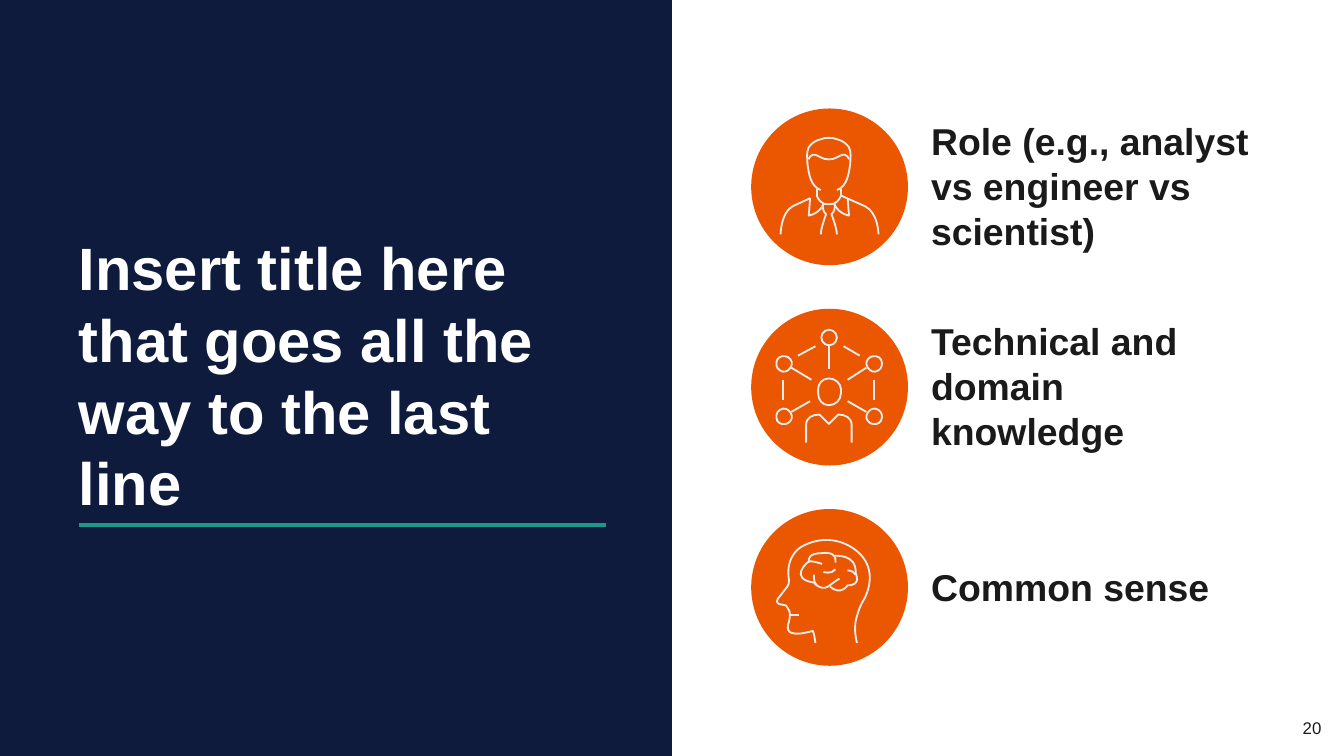
from lxml import etree
from pptx import Presentation
from pptx.dml.color import RGBColor
from pptx.enum.shapes import MSO_CONNECTOR, MSO_SHAPE
from pptx.enum.text import MSO_ANCHOR, PP_ALIGN
from pptx.oxml.ns import qn
from pptx.util import Pt

RECT, OVAL = MSO_SHAPE.RECTANGLE, MSO_SHAPE.OVAL
STRAIGHT = MSO_CONNECTOR.STRAIGHT
TOP, BOTTOM = MSO_ANCHOR.TOP, MSO_ANCHOR.BOTTOM
LEFT, RIGHT = PP_ALIGN.LEFT, PP_ALIGN.RIGHT

NAVY = RGBColor(0x0E, 0x1B, 0x3C)
TEAL = RGBColor(0x1A, 0x99, 0x88)
ORANGE = RGBColor(0xEB, 0x56, 0x00)
PALE = RGBColor(0xE9, 0xED, 0xEE)
INK = RGBColor(0x1A, 0x1A, 0x1A)
WHITE = RGBColor(0xFF, 0xFF, 0xFF)

FONT = "Arial"
ITEM_LINE = 24.2

# Icons are drawn on a square grid that is scaled to the circle.
# A path is a start point, then (x, y) lines and (x1, y1, x2, y2, x, y) curves.
GRID = 117

PERSON = {
    "paths": [
        [(95, 94), (95, 94, 95, 78, 85, 73), (67, 65)],
        [(22, 94), (22, 94, 22, 78, 31, 73), (44, 67)],
        [(44, 67), (43, 80), (52, 78, 54, 71, 54, 71), (50, 69, 49, 65, 49, 65)],
        [(72, 67), (73, 80), (64, 78, 62, 71, 62, 71), (66, 69, 67, 65, 67, 65)],
        [(52, 94), (52, 89, 56, 79, 56, 79), (52, 75, 54, 71, 54, 71),
         (54, 71, 58, 72, 62, 71), (62, 71, 64, 75, 60, 79),
         (60, 79, 64, 89, 64, 94)],
        [(64, 61), (72, 58, 73, 48, 74, 41), (74, 37, 75, 33, 73, 29),
         (71, 26, 68, 24, 64, 23), (62, 22, 60, 22, 58, 22),
         (56, 22, 54, 22, 52, 23), (48, 24, 45, 26, 43, 29),
         (41, 33, 42, 37, 42, 41), (43, 48, 44, 58, 52, 61)],
        [(73, 38), (73, 38, 72, 33, 67, 35), (64, 36, 63, 38, 58, 38),
         (53, 38, 52, 36, 49, 35), (44, 33, 43, 38, 43, 38)],
    ],
    "lines": [(49, 60, 49, 65), (67, 60, 67, 65)],
}


def mirror(path, x_sum=None, y_sum=None):
    """Reflect a path; each sum is twice the position of the mirror axis."""
    sums = (x_sum, y_sum)
    return [tuple(v if sums[i % 2] is None else sums[i % 2] - v
                  for i, v in enumerate(seg)) for seg in path]


NODE = [(95, 46), (92, 48, 89, 47, 87, 44), (85, 41, 86, 38, 89, 36),
        (92, 35, 95, 35, 97, 38), (98, 41, 98, 44, 95, 46)]
NETWORK = {
    "ovals": [(52.4, 15.7, 11.6)],
    "lines": [(69, 28, 81, 35), (48, 28, 35, 35), (58.2, 28, 58.2, 45),
              (24, 53, 24, 68), (92, 53, 92, 68), (86, 44, 72, 53),
              (30, 44, 45, 53), (86, 77, 72, 69), (30, 77, 44, 69)],
    "paths": [
        [(41, 100), (41, 87), (41, 81, 46, 79, 51, 79), (58, 86), (65, 79),
         (70, 79, 75, 81, 75, 87), (75, 100)],
        [(67, 63), (67, 68, 63, 72, 58, 72), (53, 72, 50, 68, 50, 63), (50, 60),
         (50, 56, 53, 52, 58, 52), (63, 52, 67, 56, 67, 60), (67, 63)],
    ] + [mirror(NODE, x_sum, y_sum) for x_sum in (None, 116.4) for y_sum in (None, 121.5)],
}
BRAIN = {
    "paths": [
        [(62, 35), (62, 35, 79, 33, 78, 48), (78, 48, 83, 57, 72, 57),
         (72, 57, 67, 65, 59, 58)],
        [(43, 39), (43, 37, 43, 33, 53, 33), (54, 33, 64, 31, 63, 40)],
        [(47, 49), (47, 49, 46, 54, 49, 57)],
        [(54, 47), (54, 47, 60, 49, 63, 45)],
        [(72, 46), (72, 46, 75, 45, 78, 49)],
        [(53, 41), (53, 41, 47, 39, 44, 39), (42, 40), (42, 40, 28, 52, 47, 55),
         (47, 55, 53, 63, 60, 56), (60, 56, 64, 53, 66, 52)],
        [(79, 100), (78, 96, 77, 90, 78, 84), (78, 84, 80, 74, 84, 68),
         (84, 68, 98, 45, 77, 30), (77, 30, 60, 16, 38, 28),
         (38, 28, 26, 34, 28, 51), (28, 51, 29, 56, 27, 58), (20, 67),
         (20, 67, 18, 70, 21, 71), (26, 72), (26, 72, 29, 76, 29, 78),
         (29, 82, 28, 85, 28, 85), (28, 85, 26, 90, 29, 92),
         (30, 92, 32, 95, 46, 91), (46, 91, 47, 92, 48, 100)],
    ],
    "lines": [(29, 79, 36, 79)],
}
ITEMS = [
    ("Role (e.g., analyst vs engineer vs scientist)", 3, PERSON),
    ("Technical and domain knowledge", 3, NETWORK),
    ("Common sense", 1, BRAIN),
]


def add_text(s, x, y, w, h, text, size, color, bold=True, align=LEFT, anchor=TOP):
    tf = s.shapes.add_textbox(Pt(x), Pt(y), Pt(w), Pt(h)).text_frame
    tf.word_wrap = True
    tf.vertical_anchor = anchor
    tf.margin_left = tf.margin_right = tf.margin_top = tf.margin_bottom = 0
    p = tf.paragraphs[0]
    p.alignment = align
    r = p.add_run()
    r.text = text
    r.font.name, r.font.size, r.font.bold = FONT, Pt(size), bold
    r.font.color.rgb = color


def add_filled(s, kind, x, y, w, h, color):
    sp = s.shapes.add_shape(kind, Pt(x), Pt(y), Pt(w), Pt(h))
    sp.shadow.inherit = False
    sp.fill.solid()
    sp.fill.fore_color.rgb = color
    sp.line.fill.background()


def add_line(s, x1, y1, x2, y2, color, width):
    line = s.shapes.add_connector(STRAIGHT, Pt(x1), Pt(y1), Pt(x2), Pt(y2))
    line.line.color.rgb = color
    line.line.width = Pt(width)
    etree.SubElement(line._element.spPr, qn("a:effectLst"))


def style_outline(sp):
    sp.shadow.inherit = False
    sp.fill.background()
    sp.line.color.rgb = PALE
    sp.line.width = Pt(1)


def add_curve(s, x, y, unit, path):
    """Build a freeform through all points, then join each curve's three into a Bézier."""
    points = [(Pt(x + seg[i] * unit), Pt(y + seg[i + 1] * unit))
              for seg in path for i in range(0, len(seg), 2)]
    builder = s.shapes.build_freeform(*points[0])
    builder.add_line_segments(points[1:], close=path[0] == path[-1][-2:])
    sp = builder.convert_to_shape()
    steps = iter(list(sp._element.iter(qn("a:lnTo"))))
    for seg in path[1:]:
        first = next(steps)
        if len(seg) == 6:
            first.tag = qn("a:cubicBezTo")
            for step in (next(steps), next(steps)):
                first.append(step[0])
                step.getparent().remove(step)
    style_outline(sp)


def add_icon(s, x, y, size, icon):
    unit = size / GRID
    add_filled(s, OVAL, x, y, size, size, ORANGE)
    for x1, y1, x2, y2 in icon["lines"]:
        add_line(s, x + x1 * unit, y + y1 * unit, x + x2 * unit, y + y2 * unit, PALE, 1)
    for left, top, d in icon.get("ovals", []):
        style_outline(s.shapes.add_shape(
            OVAL, Pt(x + left * unit), Pt(y + top * unit), Pt(d * unit), Pt(d * unit)))
    for path in icon["paths"]:
        add_curve(s, x, y, unit, path)


def add_title_panel(s, x, y, w, h):
    add_filled(s, RECT, x, y, w, h, NAVY)
    add_line(s, x + 324.6, y + 281.3, x + 42.4, y + 281.3, TEAL, 2.25)
    add_text(s, x + 42.2, y + 123.8, 276.5, 154.8,
             "Insert title here that goes all the way to the last line", 32, WHITE)


def add_items(s, x, y, w, size, pitch):
    text_x = x + size + 12.4
    for i, (text, lines, icon) in enumerate(ITEMS):
        top = y + i * pitch
        h = lines * ITEM_LINE
        add_text(s, text_x, top + (size - h) / 2 - 0.5, x + w - text_x, h, text, 20, INK)
        add_icon(s, x, top, size, icon)


def main():
    prs = Presentation()
    prs.slide_width, prs.slide_height = Pt(720), Pt(405)
    s = prs.slides.add_slide(prs.slide_layouts[6])
    add_text(s, 682, 384.5, 25.9, 10.8, "20", 9, INK, False, RIGHT, BOTTOM)
    add_title_panel(s, 0, 0, 360, 405)
    add_items(s, x=402.4, y=58.1, w=275.9, size=84, pitch=107.3)
    prs.save("out.pptx")


if __name__ == "__main__":
    main()
